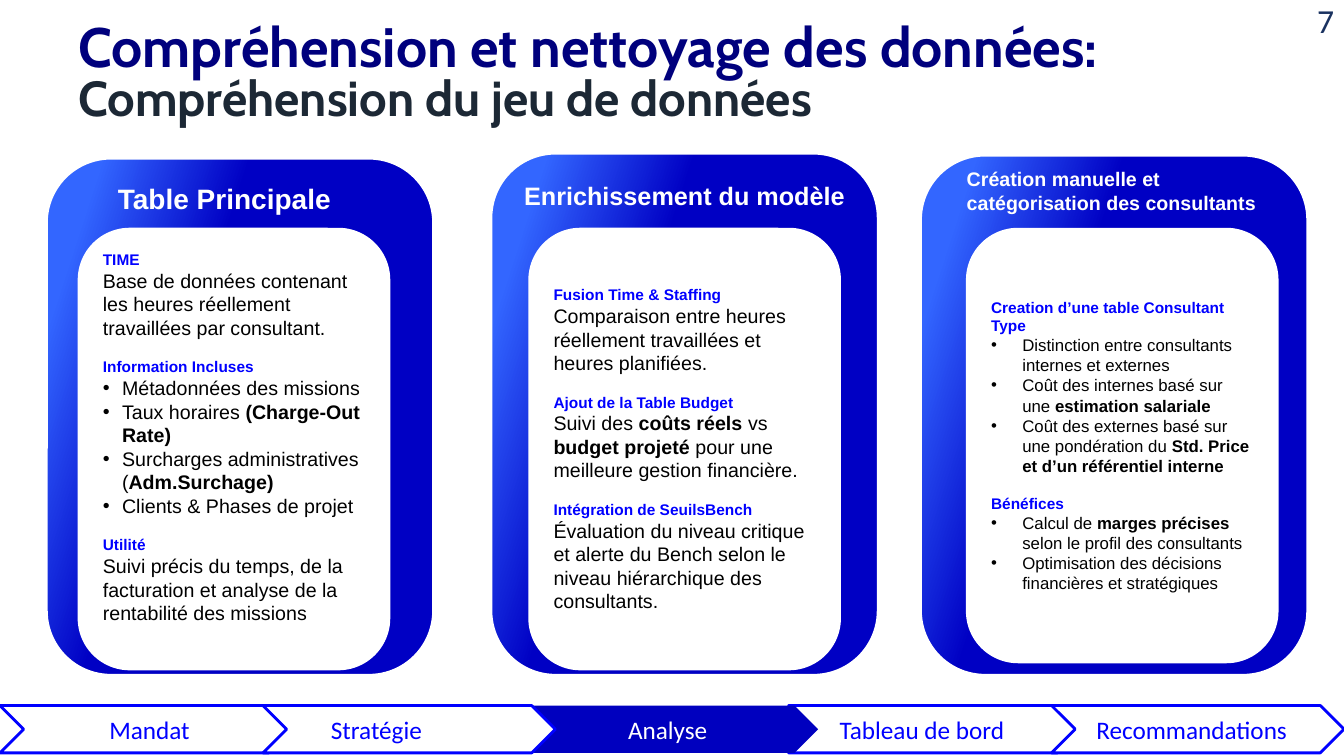
import pptx
import pptx.util
import pptx.dml.color
import pptx.enum.shapes
import pptx.enum.text
from lxml import etree
from pptx.oxml.ns import qn

SLIDE_W, SLIDE_H = 13.33, 7.5
SHAPE = pptx.enum.shapes.MSO_SHAPE
ALIGN = pptx.enum.text.PP_ALIGN
ANCHOR = pptx.enum.text.MSO_ANCHOR
BLUE, NAVY, DEEP_BLUE, SKY = "0000FF", "00007D", "0000BF", "3366FF"
WHITE, BLACK = "FFFFFF", "000000"
CARD_W, PANEL_W, PANEL_TOP, CARD_BOTTOM = 28.81, 23.26, 30.13, 89.33
STEP_PITCH, STEP_W = 19.56, 21.76

CARDS = [
    {
        "left": 3.45, "top": 20.93, "panel_left": 5.78, "panel_bottom": 88.67,
        "title": "Table Principale", "title_box": (8.03, 23.33, 18.98, 5.87),
        "title_size": 20, "body_size": 14, "indent": 0.19, "bottom_inset": 0.28,
        "content": [
            ("heading", "TIME"),
            ("body", "Base de données contenant les heures réellement travaillées par consultant."),
            ("heading", "Information Incluses"),
            ("bullet", "Métadonnées des missions"),
            ("bullet", "Taux horaires **(Charge-Out Rate)**"),
            ("bullet", "Surcharges administratives (**Adm.Surchage)**"),
            ("bullet", "Clients & Phases de projet"),
            ("heading", "Utilité"),
            ("body", "Suivi précis du temps, de la facturation et analyse de la rentabilité des missions"),
        ],
    },
    {
        "left": 36.53, "top": 20.27, "panel_left": 39.31, "panel_bottom": 88.67,
        "title": "Enrichissement du modèle", "title_box": (38.26, 23.2, 27.08, 7.87),
        "title_size": 18, "body_size": 14, "indent": 0.19, "bottom_inset": 0.05,
        "content": [
            ("heading", "Fusion Time & Staffing"),
            ("body", "Comparaison entre heures réellement travaillées et heures planifiées."),
            ("heading", "Ajout de la Table Budget"),
            ("body", "Suivi des **coûts réels **vs **budget projeté **pour une meilleure gestion financière."),
            ("heading", "Intégration de SeuilsBench"),
            ("body", "Évaluation du niveau critique et alerte du Bench selon le niveau "
                     "hiérarchique des consultants."),
        ],
    },
    {
        "left": 68.49, "top": 20.53, "panel_left": 71.87, "panel_bottom": 87.73,
        "title": "Création manuelle et catégorisation des consultants",
        "title_box": (71.19, 21.47, 23.26, 10.13),
        "title_size": 14, "body_size": 12, "indent": 0.31, "bottom_inset": 0.05,
        "content": [
            ("heading", "Creation d’une table Consultant Type"),
            ("bullet", "Distinction entre consultants internes et externes"),
            ("bullet", "Coût des internes basé sur une **estimation salariale**"),
            ("bullet", "Coût des externes basé sur une pondération du "
                       "**Std. Price et d’un référentiel interne**"),
            ("heading", "Bénéfices"),
            ("bullet", "Calcul de **marges précises** selon le profil des consultants"),
            ("bullet", "Optimisation des décisions financières et stratégiques"),
        ],
    },
]

STEPS = [("Mandat", 0.85), ("Stratégie", 0.44), ("Analyse", 0.78),
         ("Tableau de bord", 0.27), ("Recommandations", 0.21)]
STACKING = [0, 3, 4, 2, 1]
CURRENT_STEP = "Analyse"


def rgb(hex_code):
    """Turn a hex string into a colour."""
    return pptx.dml.color.RGBColor.from_string(hex_code)


def place(left, top, width, height):
    """Turn percentages of the slide into lengths."""
    shares = ((left, SLIDE_W), (top, SLIDE_H), (width, SLIDE_W), (height, SLIDE_H))
    return [pptx.util.Inches(share * side / 100) for share, side in shares]


def set_frame(frame, anchor=ANCHOR.TOP, insets=(0.1, 0.05, 0.1, 0.05)):
    """Set wrapping, anchor and insets of a text frame, and return it."""
    frame.word_wrap = True
    frame.vertical_anchor = anchor
    (frame.margin_left, frame.margin_top,
     frame.margin_right, frame.margin_bottom) = map(pptx.util.Inches, insets)
    return frame


def add_text(frame, text, size=14, color=BLACK, font="Arial", bold=False,
             align=ALIGN.LEFT, spacing=None, before=0, indent=None):
    """Add one paragraph, with ** around its bold parts."""
    paragraph = frame.paragraphs[0]
    if paragraph.runs:
        paragraph = frame.add_paragraph()
    paragraph.alignment = align
    paragraph.space_before = pptx.util.Pt(before)
    if spacing:
        paragraph.line_spacing = spacing
    if indent:
        properties = paragraph._p.get_or_add_pPr()
        hanging = pptx.util.Inches(indent)
        properties.set("marL", str(hanging))
        properties.set("indent", str(-hanging))
        etree.SubElement(properties, qn("a:buFont")).set("typeface", "Arial")
        etree.SubElement(properties, qn("a:buChar")).set("char", "•")
    for position, part in enumerate(text.split("**")):
        if part:
            run = paragraph.add_run()
            run.text = part
            run.font.size = pptx.util.Pt(size)
            run.font.name = font
            run.font.bold = bold or position % 2 == 1
            run.font.color.rgb = rgb(color)


def add_block(slide, kind, box, fill=None, line=None):
    """Add a preset shape with an optional solid fill and outline."""
    block = slide.shapes.add_shape(kind, *place(*box))
    block.shadow.inherit = False
    if fill:
        block.fill.solid()
        block.fill.fore_color.rgb = rgb(fill)
    if line:
        block.line.color.rgb = rgb(line)
        block.line.width = pptx.util.Pt(2)
    else:
        block.line.fill.background()
    return block


def add_label(slide, box, **frame_format):
    """Add a text box and return its text frame."""
    return set_frame(slide.shapes.add_textbox(*place(*box)).text_frame, **frame_format)


def add_card(slide, card):
    """Add a gradient card with its title and white panel."""
    border = add_block(slide, SHAPE.ROUNDED_RECTANGLE,
                       (card["left"], card["top"], CARD_W, CARD_BOTTOM - card["top"]), line=WHITE)
    border.fill.gradient()
    border.fill.gradient_angle = 342
    for stop, (position, color) in zip(border.fill.gradient_stops, ((0.1, SKY), (0.37, "0000C4"))):
        stop.position = position
        stop.color.rgb = rgb(color)
    panel = add_block(slide, SHAPE.ROUNDED_RECTANGLE,
                      (card["panel_left"], PANEL_TOP, PANEL_W, card["panel_bottom"] - PANEL_TOP),
                      fill=WHITE)
    frame = set_frame(panel.text_frame, ANCHOR.MIDDLE, (0.1, 0.05, 0.1, card["bottom_inset"]))
    for order, (role, text) in enumerate(card["content"]):
        if role == "heading":
            add_text(frame, text, size=11, color=BLUE, bold=True, before=13 if order else 0)
        else:
            add_text(frame, text, size=card["body_size"],
                     indent=card["indent"] if role == "bullet" else None)
    add_text(add_label(slide, card["title_box"]), card["title"],
             size=card["title_size"], color=WHITE, bold=True)


def add_step(slide, order):
    """Add one chevron of the progress bar."""
    name, inset = STEPS[order]
    current = name == CURRENT_STEP
    step = add_block(slide, SHAPE.CHEVRON, (order * STEP_PITCH, 93.33, STEP_W, 6.27),
                     fill=DEEP_BLUE if current else WHITE, line=None if current else BLUE)
    frame = set_frame(step.text_frame, ANCHOR.MIDDLE, (inset, 0.05, 0.03, 0.05))
    add_text(frame, name, size=18, color=WHITE if current else BLUE, font="Calibri")


def main():
    """Build the slide and save it."""
    deck = pptx.Presentation()
    deck.slide_width = pptx.util.Inches(SLIDE_W)
    deck.slide_height = pptx.util.Inches(SLIDE_H)
    slide = deck.slides.add_slide(deck.slide_layouts[6])
    page_number = add_label(slide, (77.5, 0, 22.5, 5.33), anchor=ANCHOR.MIDDLE)
    add_text(page_number, "7", size=24, color="1A3260", font="Calibri", align=ALIGN.RIGHT)
    heading = add_label(slide, (5.1, 2.67, 94.5, 17.87))
    add_text(heading, "Compréhension et nettoyage des données:", size=39.6, color=NAVY,
             font="Cabin", bold=True, spacing=0.8)
    add_text(heading, "Compréhension du jeu de données", size=35.1, color="1C2835",
             font="Cabin", bold=True, spacing=0.8)
    for card in CARDS:
        add_card(slide, card)
    for order in STACKING:
        add_step(slide, order)
    deck.save("out.pptx")


if __name__ == "__main__":
    main()
